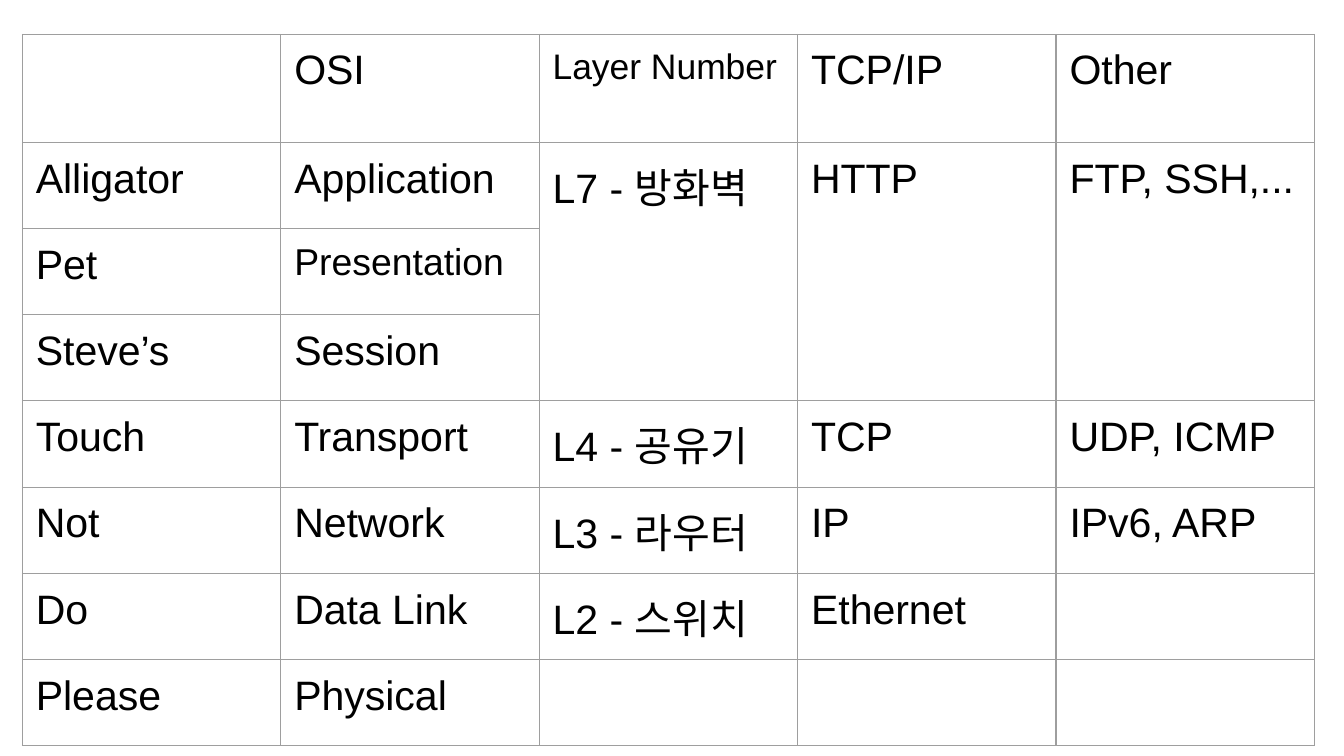
from dataclasses import dataclass

from lxml import etree
from pptx import Presentation
from pptx.dml.color import RGBColor
from pptx.oxml import ns
from pptx.table import Table, _Cell
from pptx.util import Pt


@dataclass(frozen=True)
class Theme:
    font: str = "Arial"
    ink: str = "000000"
    border: str = "9E9E9E"
    border_width: float = 0.75
    body_size: float = 22
    presentation_size: float = 20
    layer_number_size: float = 19
    inset: float = 7.2


@dataclass(frozen=True)
class Entry:
    label: str
    size: float
    rows: int = 1


THEME = Theme()
LEFT, TOP = 12, 18.4
COLUMN_WIDTH = 138.45
HEADER_HEIGHT, LAYER_HEIGHT = 58, 46.13


def entry(label: str, size: float = THEME.body_size, rows: int = 1) -> Entry:
    return Entry(label, size, rows)


# Table content: mnemonic, OSI layer, layer number, TCP/IP, other protocols
LAYERS: list[list[Entry]] = [
    [entry(""), entry("OSI"), entry("Layer Number", THEME.layer_number_size),
     entry("TCP/IP"), entry("Other")],
    [entry("Alligator"), entry("Application"), entry("L7 - 방화벽", rows=3),
     entry("HTTP", rows=3), entry("FTP, SSH,...", rows=3)],
    [entry("Pet"), entry("Presentation", THEME.presentation_size)],
    [entry("Steve’s"), entry("Session")],
    [entry("Touch"), entry("Transport"), entry("L4 - 공유기"), entry("TCP"), entry("UDP, ICMP")],
    [entry("Not"), entry("Network"), entry("L3 - 라우터"), entry("IP"), entry("IPv6, ARP")],
    [entry("Do"), entry("Data Link"), entry("L2 - 스위치"), entry("Ethernet")],
    [entry("Please"), entry("Physical")],
]


def draw_borders(cell: _Cell) -> None:
    """Rule all four sides; lines come first in the cell properties."""
    properties = cell._tc.get_or_add_tcPr()
    for position, side in enumerate(("lnL", "lnR", "lnT", "lnB")):
        line = etree.Element(ns.qn(f"a:{side}"), w=str(Pt(THEME.border_width)))
        fill = etree.SubElement(line, ns.qn("a:solidFill"))
        etree.SubElement(fill, ns.qn("a:srgbClr"), val=THEME.border)
        properties.insert(position, line)


def style_cell(cell: _Cell) -> None:
    cell.fill.background()
    cell.margin_left = cell.margin_right = Pt(THEME.inset)
    cell.margin_top = cell.margin_bottom = Pt(THEME.inset)
    draw_borders(cell)


def write_entry(table: Table, row: int, column: int, item: Entry) -> None:
    cell = table.cell(row, column)
    if item.rows > 1:
        cell.merge(table.cell(row + item.rows - 1, column))
    cell.text = item.label
    font = cell.text_frame.paragraphs[0].font
    font.name, font.size = THEME.font, Pt(item.size)
    font.color.rgb = RGBColor.from_string(THEME.ink)


def main() -> None:
    deck = Presentation()
    deck.slide_width, deck.slide_height = Pt(720), Pt(405)
    slide = deck.slides.add_slide(deck.slide_layouts[6])

    # Grid: a taller header above equal layer rows
    row_count, column_count = len(LAYERS), len(LAYERS[0])
    height = HEADER_HEIGHT + LAYER_HEIGHT * (row_count - 1)
    layers = slide.shapes.add_table(
        row_count, column_count, Pt(LEFT), Pt(TOP),
        Pt(COLUMN_WIDTH * column_count), Pt(height)).table
    layers.first_row = layers.horz_banding = False
    for column in layers.columns:
        column.width = Pt(COLUMN_WIDTH)
    for index, row in enumerate(layers.rows):
        row.height = Pt(LAYER_HEIGHT if index else HEADER_HEIGHT)

    # Cell styling, then entries
    for cell in layers.iter_cells():
        style_cell(cell)
    for row, items in enumerate(LAYERS):
        for column, item in enumerate(items):
            write_entry(layers, row, column, item)

    deck.save("out.pptx")


if __name__ == "__main__":
    main()
